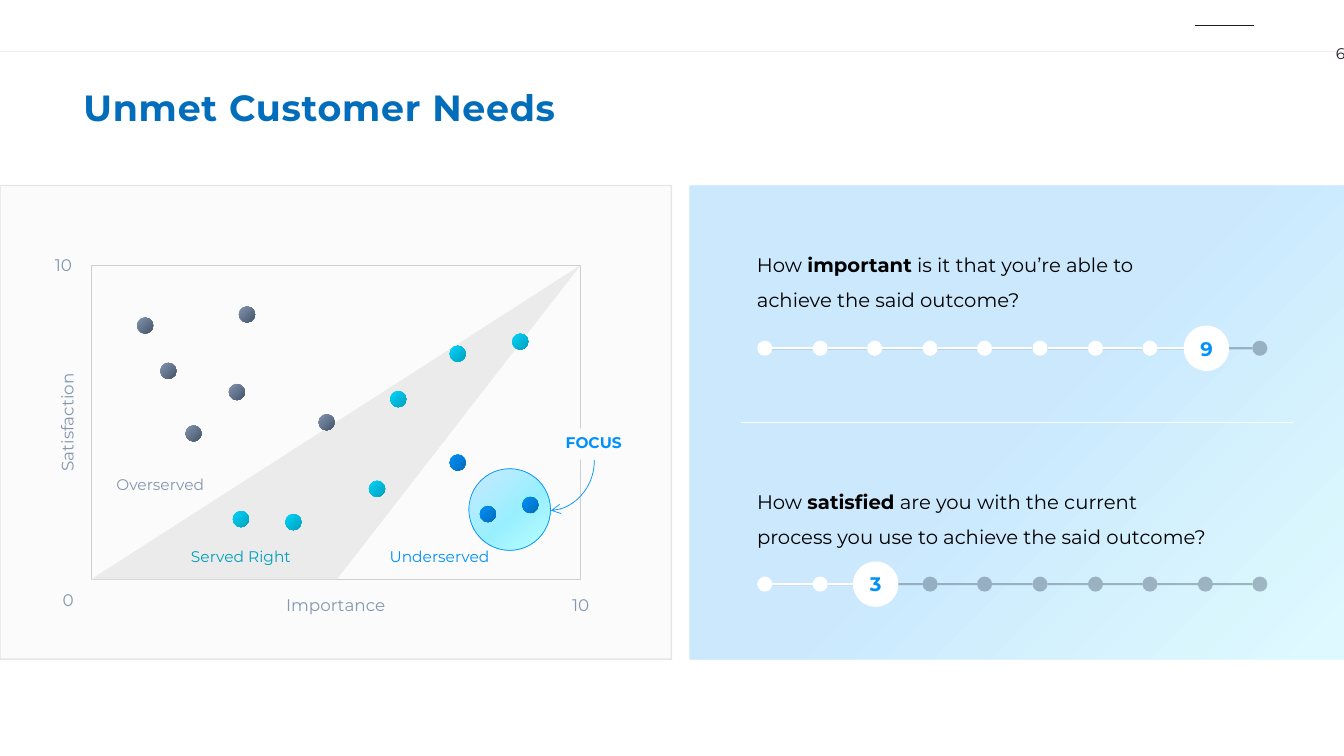
from lxml import etree
from pptx import Presentation
from pptx import util as u
from pptx.dml.color import RGBColor
from pptx.enum import shapes, text
from pptx.oxml import ns

PX = 9144
FONT = "Montserrat"
COLOURS = {
    "white": "FFFFFF", "black": "000000", "ink": "231A28", "panel": "FBFBFB",
    "frame": "D0CECE", "wedge": "E7E6E6", "slate": "44546A", "mist": "8497B0",
    "teal": "01A0BD", "cyan": "01D5FC", "navy": "016DBB", "blue": "0191FA",
    "ice": "CBE9FF", "aqua": "99EFFF", "pale": "B9FFFF",
}
DOTS = [
    ("slate", "mist", [(136, 315), (237, 304), (159, 360), (227, 381), (184, 422), (316, 411)]),
    ("teal", "cyan", [(387, 388), (446, 343), (508, 331), (366, 477), (283, 510), (231, 507)]),
    ("navy", "blue", [(446, 451), (476, 502), (518, 493)]),
]
AXIS_LABELS = [
    ("Satisfaction", 7, 404, 119, 270), ("Importance", 273, 585, 120, 0),
    ("0", 52, 580, 31, 0), ("10", 557, 585, 38, 0), ("10", 44, 248, 38, 0),
]
ZONES = [
    ("Served Right", 179, 538, 120, "teal"), ("Underserved", 376, 538, 120, "blue"),
    ("Overserved", 105, 466, 108, "mist"),
]


def rgb(name):
    """Return the named colour."""
    return RGBColor.from_string(COLOURS[name])


def px(*values):
    """Turn pixel lengths into EMU."""
    return [u.Emu(round(v * PX)) for v in values]


def add(parent, tag, **attrs):
    """Append a drawing element to parent."""
    return etree.SubElement(parent, ns.qn(tag), {k: str(v) for k, v in attrs.items()})


def fade(s, part, percent):
    """Give the colours of a shape's fill or line an opacity."""
    for clr in s._element.spPr.find(ns.qn(part)).iter(ns.qn("a:srgbClr")):
        add(clr, "a:alpha", val=percent * 1000)


def style(s, fill=None, line=None, width=1):
    """Set a flat fill and outline without shadow."""
    s.shadow.inherit = False
    if fill:
        s.fill.solid()
        s.fill.fore_color.rgb = rgb(fill)
    if line:
        s.line.color.rgb = rgb(line)
        s.line.width = u.Pt(width)
    else:
        s.line.fill.background()
    return s


def shape(sp, kind, x, y, w, h, **look):
    """Add a styled preset shape."""
    return style(sp.add_shape(kind, *px(x, y, w, h)), **look)


def oval(sp, x, y, size, **look):
    """Add a circle."""
    return shape(sp, shapes.MSO_SHAPE.OVAL, x, y, size, size, **look)


def gradient(s, stops, focus=None, angle=0):
    """Fill a shape with a linear gradient or one spreading from a corner."""
    s.fill.gradient()
    grad = s._element.spPr.find(ns.qn("a:gradFill"))
    grad.clear()
    grad.set("rotWithShape", "1")
    stop_list = add(grad, "a:gsLst")
    for pos, name, alpha in stops:
        clr = add(add(stop_list, "a:gs", pos=pos * 1000), "a:srgbClr", val=COLOURS[name])
        if alpha < 100:
            add(clr, "a:alpha", val=alpha * 1000)
    if focus:
        sides = {k: v * 1000 for k, v in zip("ltrb", focus)}
        add(add(grad, "a:path", path="circle"), "a:fillToRect", **sides)
    else:
        add(grad, "a:lin", ang=angle * 60000, scaled=0)


def line(sp, x1, y1, x2, y2, colour, width, alpha=100, kind=shapes.MSO_CONNECTOR.STRAIGHT):
    """Add a connector without shadow."""
    s = sp.add_connector(kind, *px(x1, y1, x2, y2))
    s.line.color.rgb = rgb(colour)
    s.line.width = u.Pt(width)
    if alpha < 100:
        fade(s, "a:ln", alpha)
    add(s._element.spPr, "a:effectLst")
    return s


def font(r, size, colour, bold=False):
    """Format a run."""
    r.font.name = FONT
    r.font.size = u.Pt(size)
    r.font.bold = bold
    r.font.color.rgb = rgb(colour)


def label(sp, words, x, y, w, h, size, colour, bold=False, centre=True, wrap=False):
    """Add a one-paragraph text box."""
    s = sp.add_textbox(*px(x, y, w, h))
    tf = s.text_frame
    tf.word_wrap = wrap
    tf.auto_size = text.MSO_AUTO_SIZE.SHAPE_TO_FIT_TEXT
    p = tf.paragraphs[0]
    p.text = words
    p.alignment = text.PP_ALIGN.CENTER if centre else text.PP_ALIGN.LEFT
    font(p.runs[0], size, colour, bold)
    return s


def question(sp, x, y, w, start, key, rest):
    """Add a question with one bold word."""
    s = label(sp, start, x, y, w, 77, 14, "black", centre=False, wrap=True)
    p = s.text_frame.paragraphs[0]
    p.line_spacing = 1.5
    for words, bold in ((key, True), (rest, False)):
        r = p.add_run()
        r.text = words
        font(r, 14, "black", bold)


def slider(sp, top, value):
    """Add a ten-step scale with a knob on the chosen value."""
    xs = [751 + round(54.6 * i) for i in range(10)]
    chosen = value - 1
    for colour, alpha, gaps in (("slate", 40, 9), ("white", 100, chosen)):
        for x1, x2 in zip(xs[:gaps], xs[1:]):
            line(sp, x1 + 15, top + 7.5, x2, top + 7.5, colour, 1.5, alpha)
    for i, x in enumerate(xs):
        s = oval(sp, x, top, 15, fill="white" if i < chosen else "slate")
        if i >= chosen:
            fade(s, "a:solidFill", 40)
    knob = oval(sp, xs[chosen] - 14, top - 15, 45, fill="white")
    tf = knob.text_frame
    tf.text = str(value)
    tf.vertical_anchor = text.MSO_ANCHOR.MIDDLE
    tf.paragraphs[0].alignment = text.PP_ALIGN.CENTER
    font(tf.paragraphs[0].runs[0], 14, "blue", True)


def header(sp):
    """Add the top rules, page number and title."""
    number = label(sp, "6", 1315, 39, 18, 29, 11, "ink", centre=False, wrap=True)
    number.text_frame.margin_right = 0
    line(sp, 1185, 25, 1244, 25, "ink", 0.5)
    line(sp, 0, 51, 1333, 51, "ink", 0.5, 10)
    title = label(sp, "Unmet Customer Needs", 73, 80, 493, 54, 26, "navy", True, centre=False)
    title.text_frame.paragraphs[0].runs[0].font._element.set("spc", "50")


def needs_map(sp):
    """Add the importance and satisfaction map."""
    rect = shapes.MSO_SHAPE.RECTANGLE
    panel = shape(sp, rect, 0, 184, 666, 470, fill="panel", line="ink")
    fade(panel, "a:ln", 10)
    shape(sp, rect, 90, 263, 486, 312, fill="panel", line="frame", width=0.25)
    focus = oval(sp, 465, 465, 81, line="blue", width=0.5)
    gradient(focus, [(0, "ice", 100), (55, "aqua", 100), (100, "pale", 100)], angle=50)
    for words, x, y, w, turn in AXIS_LABELS:
        label(sp, words, x, y, w, 30, 12, "mist").rotation = turn
    outline = sp.build_freeform(576, 263, scale=PX)
    outline.add_line_segments([(334, 575), (90, 575)], close=True)
    fade(style(outline.convert_to_shape(), fill="wedge"), "a:solidFill", 75)
    for dark, light, spots in DOTS:
        for x, y in spots:
            gradient(oval(sp, x, y, 16), [(0, dark, 100), (100, light, 100)], (100, 100, 0, 0))
    for words, x, y, w, colour in ZONES:
        label(sp, words, x, y, w, 29, 11, colour)
    tag = label(sp, "FOCUS", 551, 425, 76, 31, 11, "blue", True)
    tag.text_frame.margin_bottom = px(7)[0]
    tag.fill.solid()
    tag.fill.fore_color.rgb = rgb("panel")
    arrow = line(sp, 543, 460, 593, 503, "blue", 0.5, kind=shapes.MSO_CONNECTOR.CURVE)
    sp_pr = arrow._element.spPr
    sp_pr.find(ns.qn("a:xfrm")).set("rot", "5400000")
    sp_pr.find(ns.qn("a:prstGeom")).set("prst", "curvedConnector2")
    add(sp_pr.find(ns.qn("a:ln")), "a:tailEnd", type="arrow")


def survey(sp):
    """Add the two survey questions with their scales."""
    panel = shape(sp, shapes.MSO_SHAPE.RECTANGLE, 684, 184, 649, 470)
    gradient(panel, [(51, "blue", 20), (99, "cyan", 12)], (0, 0, 100, 100))
    question(sp, 741, 234, 403, "How ", "important",
             " is it that you’re able to achieve the said outcome?")
    question(sp, 741, 469, 471, "How ", "satisfied",
             " are you with the current process you use to achieve the said outcome?")
    line(sp, 735, 419, 1282, 419, "white", 0.5)
    slider(sp, 338, 9)
    slider(sp, 572, 3)


def main():
    """Build and save the slide."""
    prs = Presentation()
    prs.slide_width, prs.slide_height = px(1333, 750)
    sp = prs.slides.add_slide(prs.slide_layouts[6]).shapes
    header(sp)
    needs_map(sp)
    survey(sp)
    prs.save("out.pptx")


if __name__ == "__main__":
    main()
